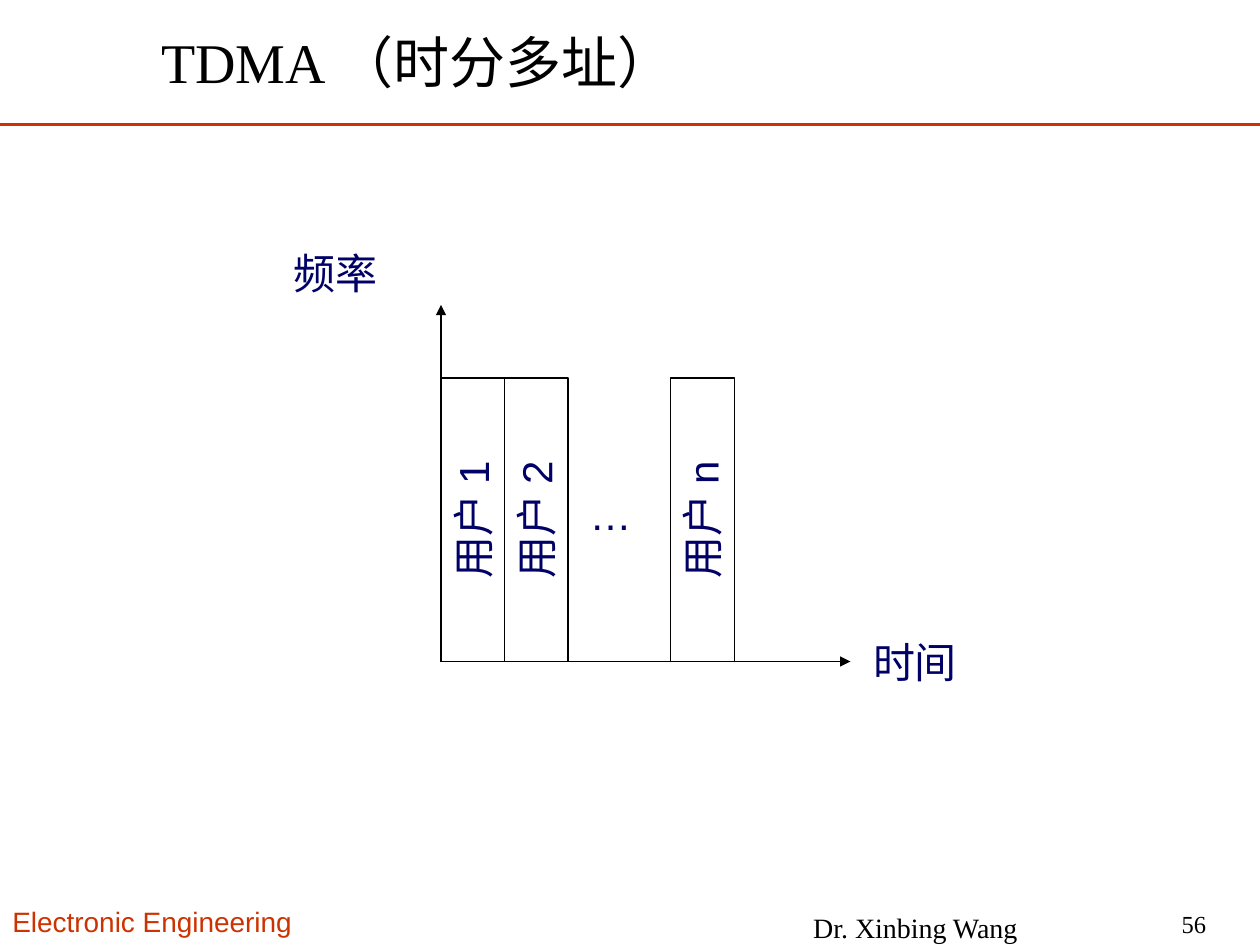
"""Builds the TDMA (time division multiple access) slide."""
from typing import NamedTuple

from lxml import etree
from pptx import Presentation
from pptx import util as u
from pptx.dml.color import RGBColor
from pptx.enum import shapes, text
from pptx.oxml import ns

RUST, NAVY, BLACK = "CC3300", "000066", "000000"
LEFT, CENTER, RIGHT = text.PP_ALIGN.LEFT, text.PP_ALIGN.CENTER, text.PP_ALIGN.RIGHT
TOP, MIDDLE = text.MSO_ANCHOR.TOP, text.MSO_ANCHOR.MIDDLE

ORIGIN_X, ORIGIN_Y = 252, 378
SLOT_HEIGHT, SLOT_WIDTH = 162, 36.5


class Label(NamedTuple):
    words: str
    left: float
    top: float
    width: float
    height: float
    size: float = 24
    font: str = "Arial"
    color: str = NAVY
    align: text.PP_ALIGN = LEFT
    anchor: text.MSO_ANCHOR = TOP


class Rule(NamedTuple):
    start: tuple[float, float]
    end: tuple[float, float]
    color: str = BLACK
    weight: float = 0.75
    arrow: bool = True


class Slot(NamedTuple):
    words: str
    center: float


LABELS = [
    Label("Electronic Engineering", 0, 513.4, 183.6, 26.6, 16, color=RUST),
    Label("Dr. Xinbing Wang", 435.6, 520.6, 175, 18, 16, "Times New Roman", BLACK, CENTER, MIDDLE),
    Label("56", 636.5, 519.1, 59.8, 18, 14, "Times New Roman", BLACK, RIGHT, MIDDLE),
    Label("…", 329.8, 275.8, 41.8, 36),
    Label("时间", 491.8, 360, 72, 36),
    Label("频率", 160.6, 138.2, 157.7, 36),
    Label("TDMA （时分多址）", 85, 16.6, 545.8, 36.7, 32, "Times New Roman", BLACK, anchor=MIDDLE),
]
RULES = [
    Rule((0, 71.3), (720, 71.3), RUST, 1.5, False),
    Rule((ORIGIN_X, ORIGIN_Y), (486, ORIGIN_Y)),
    Rule((ORIGIN_X, ORIGIN_Y), (ORIGIN_X, 174.2)),
]
SLOTS = [Slot("用户 1", 270.2), Slot("用户 2", 306.4), Slot("用户 n", 401.4)]


def rgb(code: str) -> RGBColor:
    """Turn a hex string into a colour."""
    return RGBColor.from_string(code)


def write(box, label: Label) -> None:
    """Put the label's words into a box."""
    frame = box.text_frame
    frame.word_wrap = True
    frame.vertical_anchor = label.anchor
    para = frame.paragraphs[0]
    para.alignment = label.align
    span = para.add_run()
    span.text = label.words
    formats = {"name": label.font, "size": u.Pt(label.size), "bold": False}
    for key, value in formats.items():
        setattr(span.font, key, value)
    span.font.color.rgb = rgb(label.color)


def draw_label(page, label: Label) -> None:
    """Draw a text box."""
    box = page.shapes.add_textbox(*map(u.Pt, label[1:5]))
    write(box, label)


def draw_rule(page, rule: Rule) -> None:
    """Draw a straight line, with an arrowhead at its end if asked."""
    line = page.shapes.add_connector(
        shapes.MSO_CONNECTOR.STRAIGHT, *map(u.Pt, rule.start + rule.end))
    line.line.color.rgb = rgb(rule.color)
    line.line.width = u.Pt(rule.weight)
    if rule.arrow:
        etree.SubElement(line.line._get_or_add_ln(), ns.qn("a:tailEnd"), type="triangle")
    etree.SubElement(line._element.spPr, ns.qn("a:effectLst"))


def draw_slot(page, slot: Slot) -> None:
    """Draw a user's time slot standing on the time axis."""
    label = Label(slot.words, slot.center - SLOT_HEIGHT / 2,
                  ORIGIN_Y - (SLOT_HEIGHT + SLOT_WIDTH) / 2,
                  SLOT_HEIGHT, SLOT_WIDTH, align=CENTER)
    box = page.shapes.add_shape(shapes.MSO_SHAPE.RECTANGLE, *map(u.Pt, label[1:5]))
    box.rotation = 270
    box.shadow.inherit = False
    box.fill.background()
    box.line.color.rgb = rgb(BLACK)
    box.line.width = u.Pt(0.75)
    write(box, label)


def main() -> None:
    """Build and save the deck."""
    deck = Presentation()
    deck.slide_width, deck.slide_height = u.Pt(720), u.Pt(540)
    page = deck.slides.add_slide(deck.slide_layouts[6])
    for draw, items in ((draw_rule, RULES), (draw_slot, SLOTS), (draw_label, LABELS)):
        for item in items:
            draw(page, item)
    deck.save("out.pptx")


if __name__ == "__main__":
    main()
